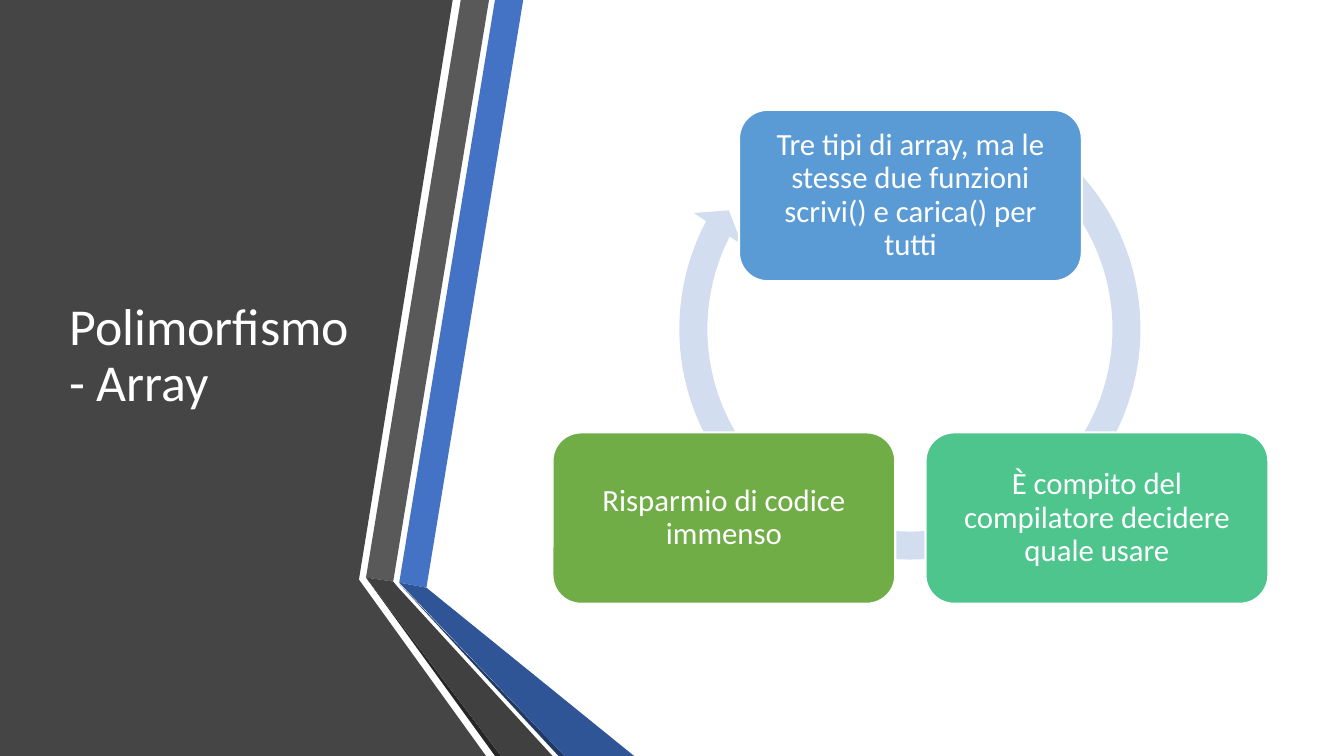
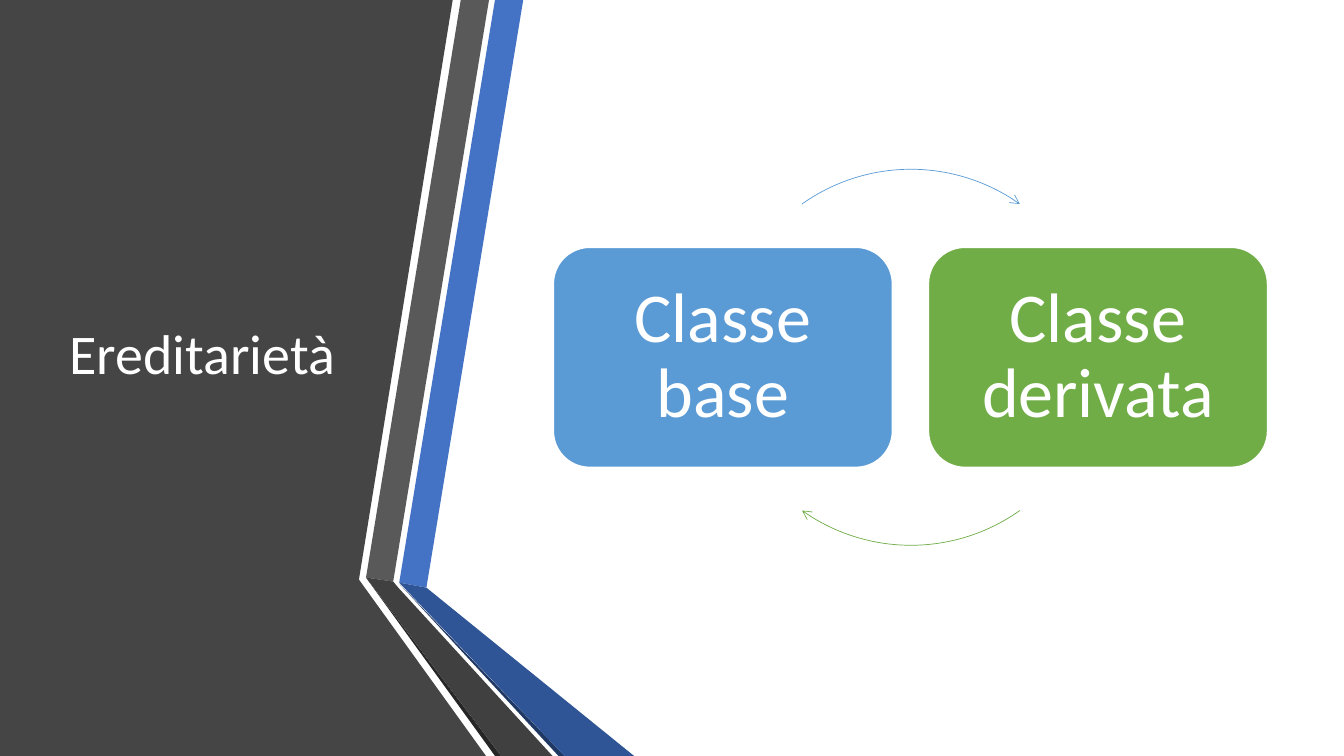
from lxml import etree
from pptx import Presentation
from pptx import util as u
from pptx.dml.color import RGBColor
from pptx.enum import shapes, text
from pptx.oxml.ns import qn

FONT = "Calibri"
COLORS = {
    "panel": "454545", "gray": "595959", "dark_gray": "404040", "gray_edge": "262626",
    "accent": "4472C4", "dark_accent": "2F5597", "accent_edge": "203864",
    "blue": "5B9BD5", "green": "70AD47", "teal": "4DC58D", "ring": "D2DEEF",
    "white": "FFFFFF",
}
BANDS = [
    ("panel", [(0, 0), (4.49, 0), (3.56, 5.75), (4.82, 7.5), (0, 7.5)]),
    ("accent", [(3.96, 5.78), (4.23, 5.83), (5.19, 0), (4.91, 0)]),
    ("gray", [(4.85, 0), (4.57, 0), (3.63, 5.73), (3.9, 5.77)]),
    ("gray_edge", [(3.63, 5.73), (4.91, 7.5), (4.97, 7.5)]),
    ("accent_edge", [(3.96, 5.79), (5.54, 7.5), (5.6, 7.5)]),
    ("dark_accent", [(3.96, 5.78), (5.6, 7.5), (6.29, 7.5), (4.23, 5.83)]),
    ("dark_gray", [(5.48, 7.5), (3.95, 5.83), (3.9, 5.77), (3.63, 5.73), (4.97, 7.5)]),
]
CENTER_X = 9.03


def rgb(name):
    return RGBColor.from_string(COLORS[name])


def paint(sp, fill):
    sp.shadow.inherit = False
    sp.fill.solid()
    sp.fill.fore_color.rgb = rgb(fill)
    sp.line.fill.background()


def write(tf, words, size, align):
    tf.word_wrap = True
    tf.vertical_anchor = text.MSO_ANCHOR.MIDDLE
    tf.text = words
    p = tf.paragraphs[0]
    p.alignment = align
    p.line_spacing = 0.9
    r = p.runs[0]
    r.font.name = FONT
    r.font.size = u.Pt(size)
    r.font.color.rgb = rgb("white")


def add_band(s, fill, points):
    pts = [(u.Inches(x), u.Inches(y)) for x, y in points]
    builder = s.shapes.build_freeform(*pts[0], scale=1.0)
    builder.add_line_segments(pts[1:], close=True)
    paint(builder.convert_to_shape(), fill)


def add_slide(prs, title, size):
    s = prs.slides.add_slide(prs.slide_layouts[6])
    for fill, points in BANDS:
        add_band(s, fill, points)
    sp = s.shapes.add_textbox(u.Inches(0.59), u.Inches(0.75), u.Inches(3.04), u.Inches(5.58))
    write(sp.text_frame, title, size, text.PP_ALIGN.LEFT)
    return s


def add_round(s, kind, left, top, size, adjustments):
    sp = s.shapes.add_shape(kind, u.Inches(left), u.Inches(top), u.Inches(size), u.Inches(size))
    for i, value in enumerate(adjustments):
        sp.adjustments[i] = value
    return sp


def add_box(s, words, offset, top, width, height, fill, size, inset):
    sp = s.shapes.add_shape(
        shapes.MSO_SHAPE.ROUNDED_RECTANGLE, u.Inches(CENTER_X + offset - width / 2),
        u.Inches(top), u.Inches(width), u.Inches(height))
    paint(sp, fill)
    sp.line.color.rgb = rgb("white")
    sp.line.width = u.Pt(1.5)
    tf = sp.text_frame
    tf.margin_left = tf.margin_right = tf.margin_top = tf.margin_bottom = u.Inches(inset)
    write(tf, words, size, text.PP_ALIGN.CENTER)


def add_arc(s, start, end, color):
    sp = add_round(s, shapes.MSO_SHAPE.ARC, 7.17, 1.68, 3.73, (start * 0.6, end * 0.6))
    sp.shadow.inherit = False
    sp.fill.background()
    sp.line.color.rgb = rgb(color)
    sp.line.width = u.Pt(0.5)
    ln = sp._element.spPr.find(qn("a:ln"))
    etree.SubElement(ln, qn("a:tailEnd"), type="arrow")


def array_slide(prs):
    s = add_slide(prs, "Polimorfismo - Array", 37)
    ring = add_round(s, shapes.MSO_SHAPE.CIRCULAR_ARROW, 6.59, 0.83, 4.87,
                     (0.057, 3.405, 124.542, 182.466, 0.059))
    paint(ring, "ring")
    for words, offset, top, fill in [
        ("Tre tipi di array, ma le stesse due funzioni scrivi() e carica() per tutti", 0, 1.09, "blue"),
        ("È compito del compilatore decidere quale usare", 1.85, 4.29, "teal"),
        ("Risparmio di codice immenso", -1.85, 4.29, "green"),
    ]:
        add_box(s, words, offset, top, 3.4, 1.7, fill, 22, 0.09)


def inheritance_slide(prs):
    s = add_slide(prs, "Ereditarietà", 40)
    for words, offset, fill, start, end in [
        ("Classe base", -1.86, "blue", 234.6, 305.4),
        ("Classe derivata", 1.86, "green", 54.6, 125.4),
    ]:
        add_box(s, words, offset, 2.45, 3.37, 2.19, fill, 50, 0.21)
        add_arc(s, start, end, fill)


def main():
    prs = Presentation()
    prs.slide_width = u.Inches(13.33)
    prs.slide_height = u.Inches(7.5)
    array_slide(prs)
    inheritance_slide(prs)
    prs.save("out.pptx")


if __name__ == "__main__":
    main()
